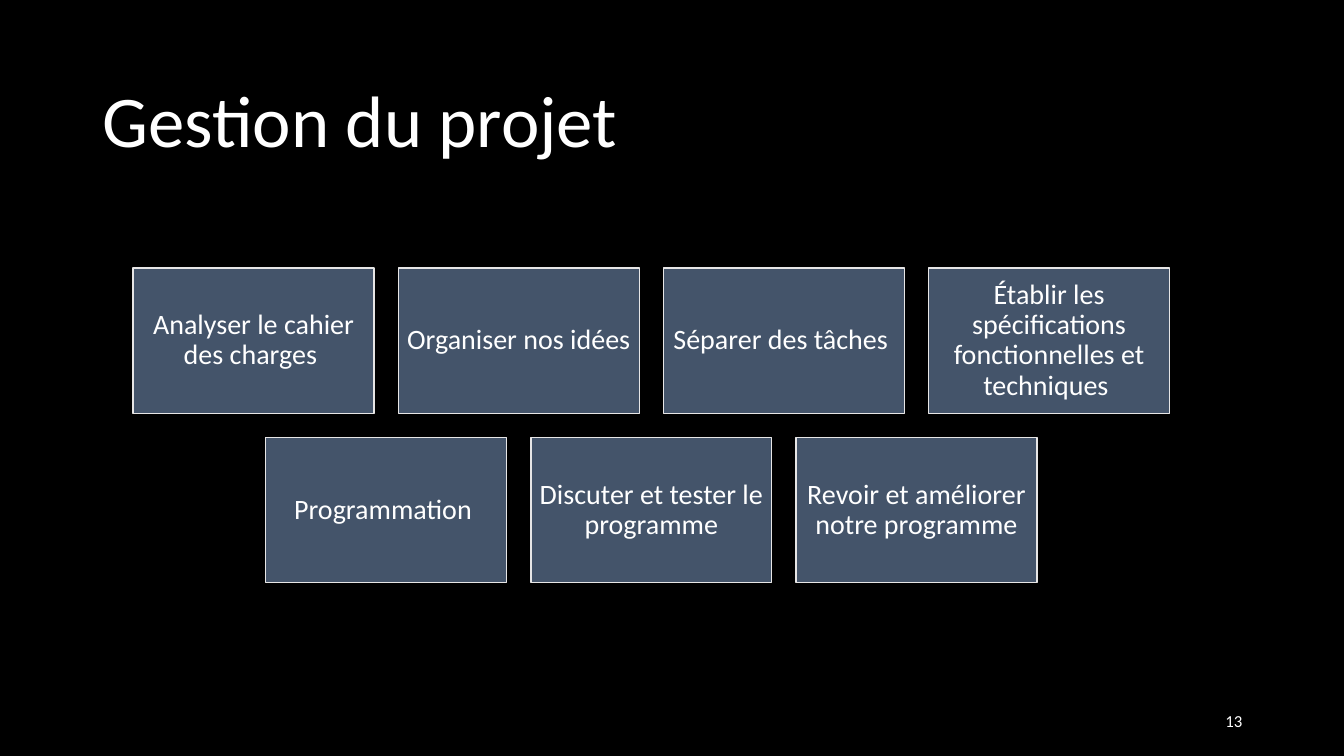
from dataclasses import dataclass

from pptx import Presentation
from pptx import util as u
from pptx.dml.color import RGBColor
from pptx.enum import shapes, text

BLACK = RGBColor(0x00, 0x00, 0x00)
WHITE = RGBColor(0xFF, 0xFF, 0xFF)
SLATE = RGBColor(0x44, 0x54, 0x6A)
PALE = RGBColor(0xE7, 0xE6, 0xE6)

WIDTH, HEIGHT, GAP = 2.39, 1.44, 0.24
CENTER, TOP = 6.46, 2.66

STEPS = [
    [
        "Analyser le cahier des charges ",
        "Organiser nos idées",
        "Séparer des tâches ",
        "Établir les spécifications fonctionnelles et techniques ",
    ],
    [
        "Programmation ",
        "Discuter et tester le programme",
        "Revoir et améliorer notre programme",
    ],
]


@dataclass
class Label:
    words: str
    left: float
    top: float
    width: float
    height: float
    size: int
    align: text.PP_ALIGN = text.PP_ALIGN.LEFT
    spacing: float = 0.9

    def box(self) -> tuple:
        return tuple(map(u.Inches, (self.left, self.top, self.width, self.height)))


def write(shape, label: Label) -> None:
    frame = shape.text_frame
    frame.word_wrap = True
    frame.vertical_anchor = text.MSO_ANCHOR.MIDDLE
    line = frame.paragraphs[0]
    line.text = label.words
    line.alignment = label.align
    line.line_spacing = label.spacing
    line.font.name = "Calibri"
    line.font.size = u.Pt(label.size)
    line.font.color.rgb = WHITE


def add_label(slide, label: Label) -> None:
    write(slide.shapes.add_textbox(*label.box()), label)


def add_step(slide, label: Label) -> None:
    step = slide.shapes.add_shape(shapes.MSO_SHAPE.RECTANGLE, *label.box())
    step.shadow.inherit = False
    step.fill.solid()
    step.fill.fore_color.rgb = SLATE
    step.line.color.rgb = PALE
    step.line.width = u.Pt(1)
    frame = step.text_frame
    frame.margin_left = frame.margin_right = u.Inches(0.08)
    frame.margin_top = frame.margin_bottom = u.Inches(0.08)
    write(step, label)


def main() -> None:
    deck = Presentation()
    deck.slide_width, deck.slide_height = u.Inches(13.33), u.Inches(7.5)
    slide = deck.slides.add_slide(deck.slide_layouts[6])
    slide.background.fill.solid()
    slide.background.fill.fore_color.rgb = BLACK

    add_label(slide, Label("Gestion du projet", 0.92, 0.61, 11.5, 1.24, 52))
    add_label(slide, Label("13", 9.42, 6.95, 3, 0.4, 12, text.PP_ALIGN.RIGHT, 1.0))

    for row, names in enumerate(STEPS):
        span = len(names) * (WIDTH + GAP) - GAP
        top = TOP + row * (HEIGHT + GAP)
        for col, name in enumerate(names):
            left = CENTER - span / 2 + col * (WIDTH + GAP)
            add_step(slide, Label(name, left, top, WIDTH, HEIGHT, 20, text.PP_ALIGN.CENTER))

    deck.save("out.pptx")


if __name__ == "__main__":
    main()
